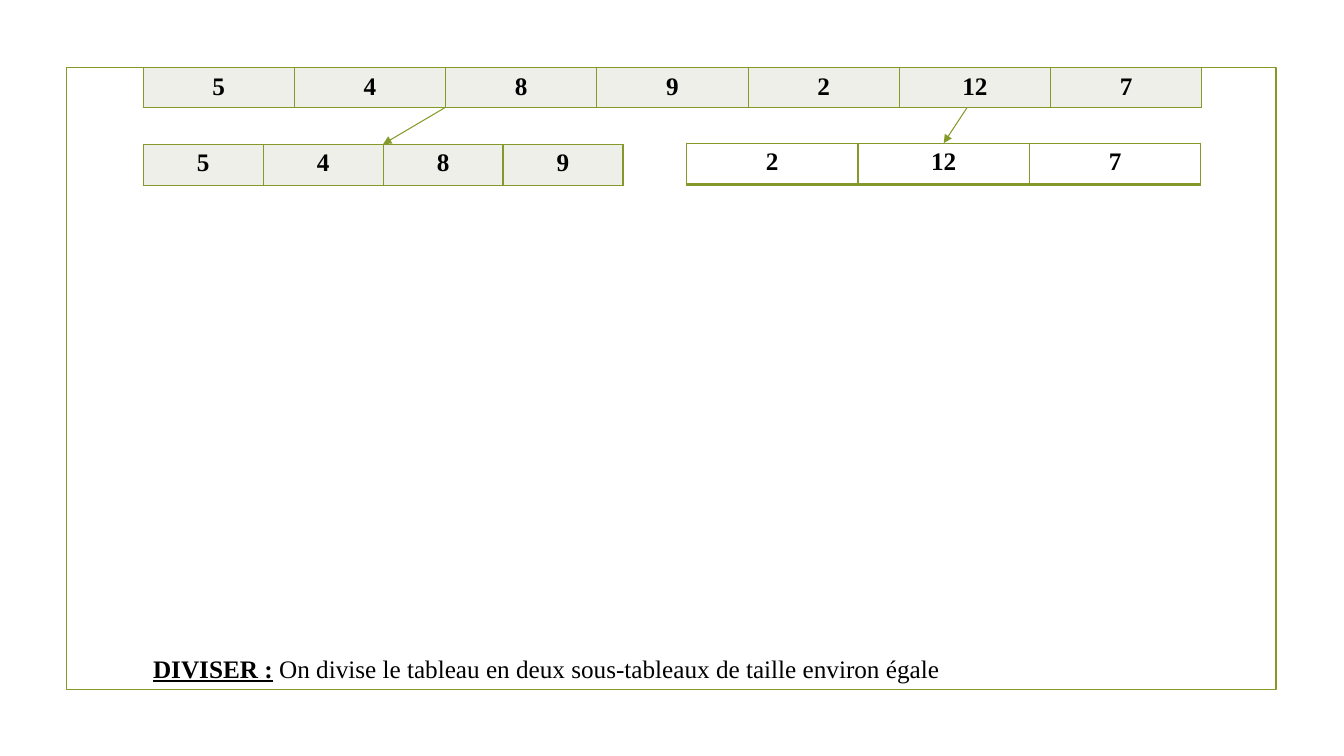
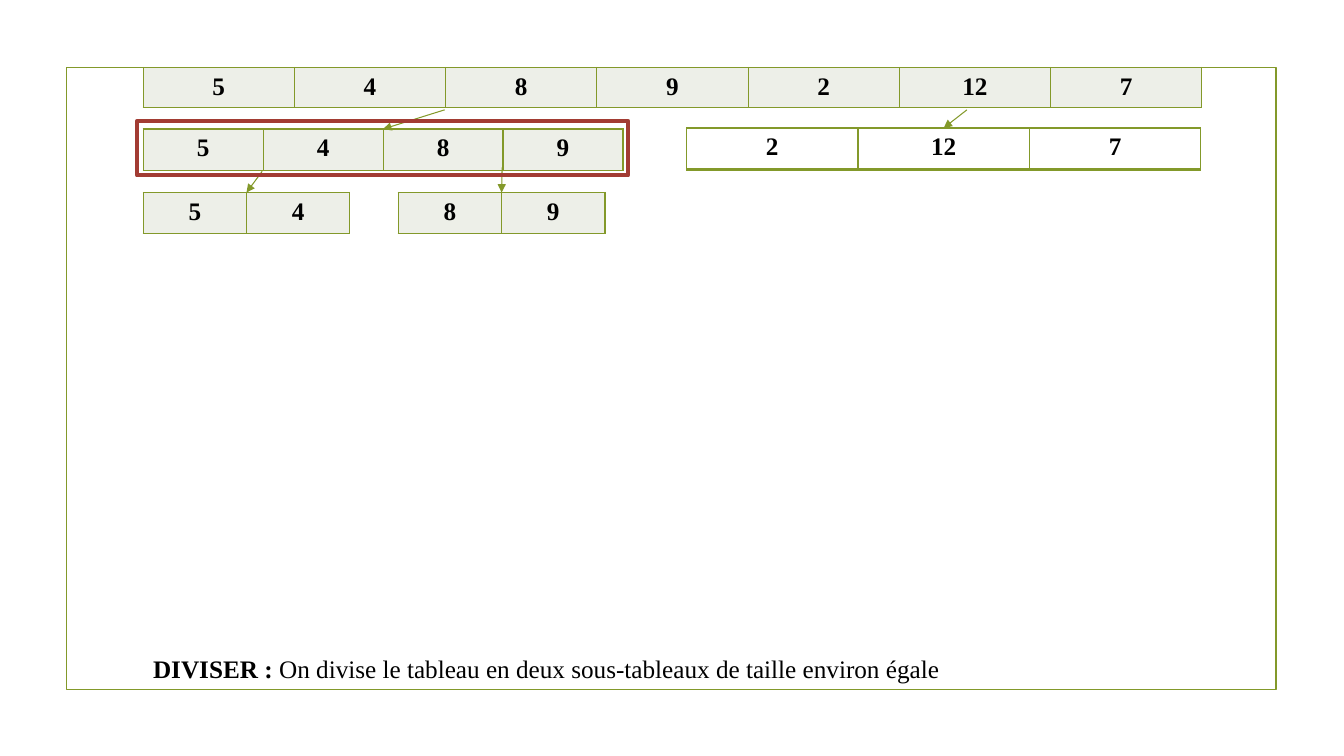
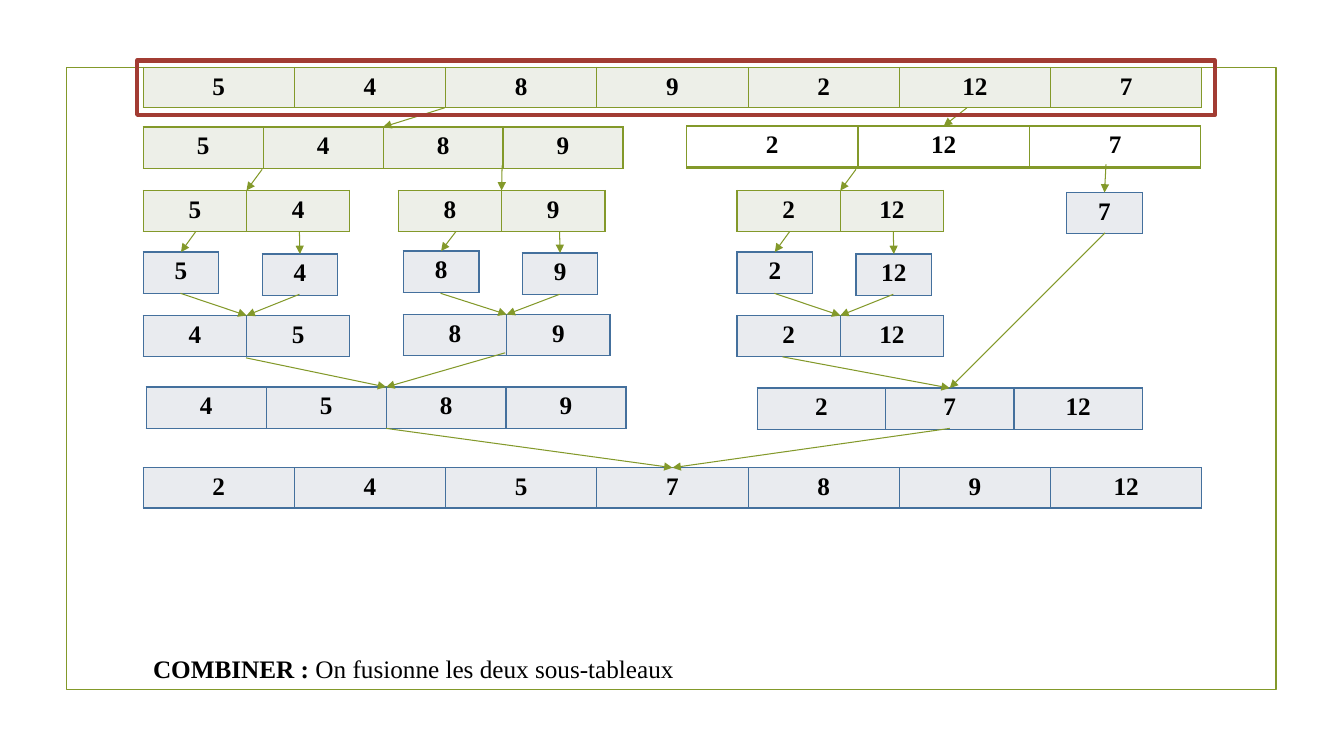
"""Build three slides that show merge sort dividing and combining an array."""
from lxml import etree
from pptx import Presentation
from pptx.dml.color import RGBColor
from pptx.enum.shapes import MSO_CONNECTOR, MSO_SHAPE
from pptx.enum.text import PP_ALIGN
from pptx.oxml.ns import qn
from pptx.util import Inches, Pt

RECT = MSO_SHAPE.RECTANGLE
STRAIGHT = MSO_CONNECTOR.STRAIGHT
CENTER = PP_ALIGN.CENTER

FONT = "Times New Roman"
SIZE = Pt(18)
COLORS = {"green": "83992A", "pale_green": "EDEFE8", "blue": "44709D",
          "pale_blue": "E9EBEF", "red": "A23C33", "text": "000000"}
STYLES = {
    "divided": {"line": "green", "fill": "pale_green", "bottom": 1},
    "right_half": {"line": "green", "fill": None, "bottom": 2},
    "merged": {"line": "blue", "fill": "pale_blue", "bottom": 1},
}
LEFT = 1.42
FULL_W, HALF_W, PAIR_W, SINGLE_W = 10.5, 4.76, 2.05, 0.75
ROW_H = 0.41


def array(values, left, top, width, style, *arrow_starts):
    return {"values": values, "left": left, "top": top, "width": width,
            "style": style, "arrow_starts": arrow_starts}


def halves(top, start_y):
    return [array([5, 4, 8, 9], LEFT, top, HALF_W, "divided", (4.41, start_y)),
            array([2, 12, 7], 6.81, top - 0.01, 5.1, "right_half", (9.59, start_y))]


def left_pairs(top):
    return [array([5, 4], LEFT, top, PAIR_W, "divided", (2.6, top - 0.21)),
            array([8, 9], 3.95, top, PAIR_W, "divided", (4.98, top - 0.25))]


def split_and_merge(first, second, left, top):
    return [
        array([first], left, top, SINGLE_W, "merged", (left + 0.52, 2.3)),
        array([second], left + 1.18, top + 0.02, SINGLE_W, "merged", (left + 1.55, 2.3)),
        array(sorted([first, second]), left, top + 0.63, PAIR_W, "merged",
              (left + 0.37, 2.91), (left + 1.55, 2.92)),
    ]


START = [array([5, 4, 8, 9, 2, 12, 7], LEFT, 0.67, FULL_W, "divided")]
DIVIDE = ("DIVISER :", " On divise le tableau en deux sous-tableaux de taille environ égale")
COMBINE = ("COMBINER :", " On fusionne les deux sous-tableaux")

SLIDES = [
    {"arrays": START + halves(1.43, 1.07),
     "caption": DIVIDE, "underline": True, "highlight": None},
    {"arrays": START + halves(1.28, 1.09) + left_pairs(1.91),
     "caption": DIVIDE, "underline": False, "highlight": (1.36, 1.2, 4.87, 0.54)},
    {"arrays": START + halves(1.26, 1.07) + left_pairs(1.89) + [
        array([2, 12], 7.31, 1.89, PAIR_W, "divided", (8.49, 1.68)),
        array([7], 10.58, 1.91, SINGLE_W, "merged", (10.97, 1.63)),
        *split_and_merge(5, 4, LEFT, 2.5),
        *split_and_merge(8, 9, 4, 2.49),
        *split_and_merge(2, 12, 7.31, 2.5),
        array([4, 5, 8, 9], 1.45, 3.84, HALF_W, "merged", (2.44, 3.55), (5.01, 3.5)),
        array([2, 7, 12], 7.51, 3.85, 3.82, "merged", (7.76, 3.54), (10.96, 2.31)),
        array([2, 4, 5, 7, 8, 9, 12], LEFT, 4.64, FULL_W, "merged",
              (3.83, 4.25), (9.42, 4.25))],
     "caption": COMBINE, "underline": False, "highlight": (1.36, 0.6, 10.69, 0.54)},
]


def rgb(name):
    return RGBColor.from_string(COLORS[name])


def add_run(p, text, bold, underline=False):
    r = p.add_run()
    r.text = text
    r.font.name, r.font.size = FONT, SIZE
    r.font.bold, r.font.underline = bold, underline
    r.font.color.rgb = rgb("text")


def add_outline(s, box, color, width):
    sp = s.shapes.add_shape(RECT, *map(Inches, box))
    sp.shadow.inherit = False
    sp.fill.background()
    sp.line.color.rgb = rgb(color)
    sp.line.width = Pt(width)
    return sp


def add_arrow(s, start, end):
    c = s.shapes.add_connector(STRAIGHT, *map(Inches, start + end))
    c.line.color.rgb = rgb("green")
    c.line.width = Pt(0.75)
    sppr = c.element.spPr
    etree.SubElement(sppr.find(qn("a:ln")), qn("a:tailEnd"), type="triangle")
    etree.SubElement(sppr, qn("a:effectLst"))


def style_cell(cell, style):
    tcpr = cell._tc.get_or_add_tcPr()
    for side in "LRTB":
        width = style["bottom"] if side == "B" else 1
        ln = etree.SubElement(tcpr, qn(f"a:ln{side}"), w=str(Pt(width)))
        fill = etree.SubElement(ln, qn("a:solidFill"))
        etree.SubElement(fill, qn("a:srgbClr"), val=COLORS[style["line"]])
    if style["fill"]:
        cell.fill.solid()
        cell.fill.fore_color.rgb = rgb(style["fill"])
    else:
        cell.fill.background()


def add_array(s, item):
    left, top, width = item["left"], item["top"], item["width"]
    values = item["values"]
    height = 0.4 if width == FULL_W else ROW_H
    table = s.shapes.add_table(1, len(values), *map(Inches, (left, top, width, height))).table
    table.first_row = table.horz_banding = False
    for i, value in enumerate(values):
        table.columns[i].width = Inches(width / len(values))
        cell = table.cell(0, i)
        style_cell(cell, STYLES[item["style"]])
        p = cell.text_frame.paragraphs[0]
        p.alignment = CENTER
        add_run(p, str(value), True)
    for start in item["arrow_starts"]:
        add_arrow(s, start, (left + width / 2, top))


def add_caption(s, caption, underline):
    tf = s.shapes.add_textbox(*map(Inches, (LEFT, 6.43, FULL_W, 0.4))).text_frame
    tf.word_wrap = True
    label, text = caption
    p = tf.paragraphs[0]
    add_run(p, label, True, underline)
    add_run(p, text, False)


def add_layout_frame(s):
    frame = add_outline(s, (0.66, 0.67, 12, 6.17), "green", 1.25)
    frame.element.nvSpPr.cNvPr.set("id", "20")
    s.slide_layout.shapes.element.append(frame.element)


def main():
    prs = Presentation()
    prs.slide_width, prs.slide_height = Inches(13.33), Inches(7.5)
    blank = prs.slide_layouts[6]
    for i, content in enumerate(SLIDES):
        s = prs.slides.add_slide(blank)
        if i == 0:
            add_layout_frame(s)
        for item in content["arrays"]:
            add_array(s, item)
        add_caption(s, content["caption"], content["underline"])
        if content["highlight"]:
            add_outline(s, content["highlight"], "red", 3)
    prs.save("out.pptx")


if __name__ == "__main__":
    main()
